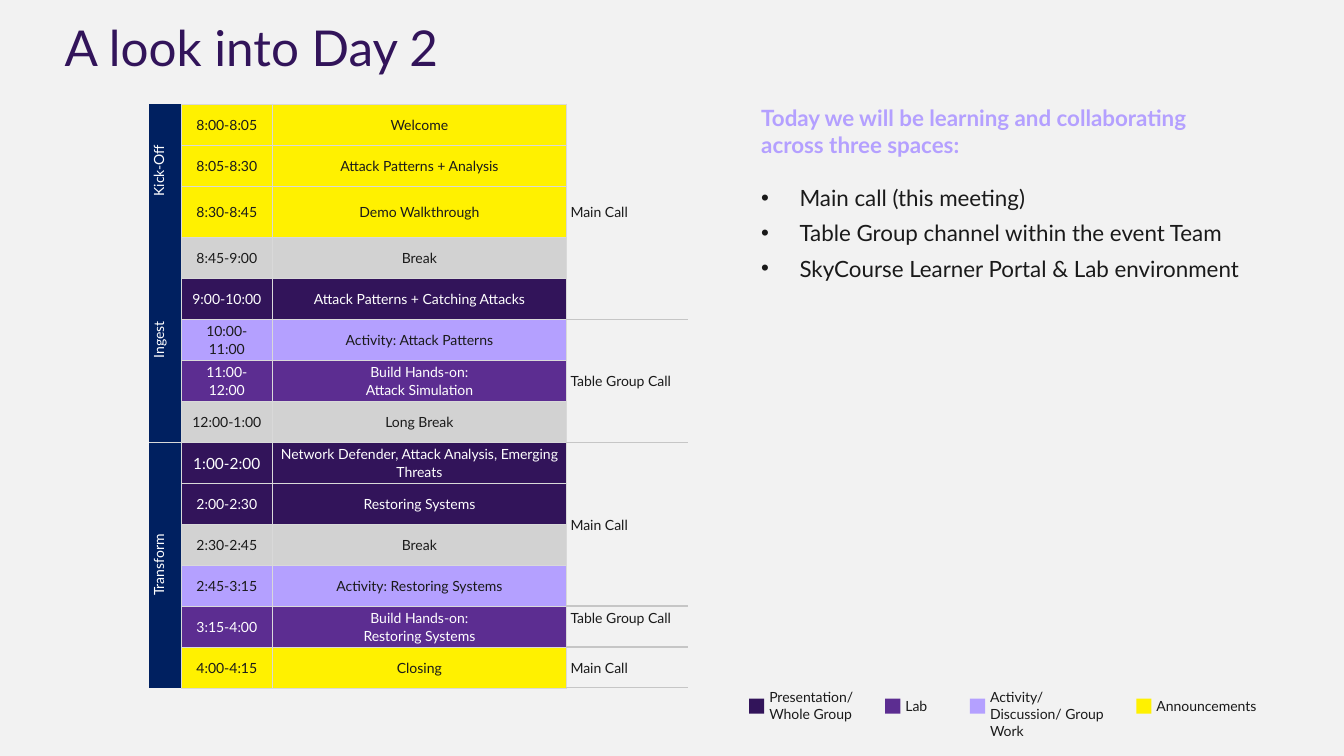
from lxml.etree import SubElement
from pptx import Presentation
from pptx.dml.color import RGBColor
from pptx.enum.shapes import MSO_SHAPE
from pptx.enum.text import MSO_ANCHOR, MSO_AUTO_SIZE, PP_ALIGN
from pptx.oxml.ns import qn
from pptx.util import Inches, Pt

BACKGROUND, INK, WHITE, NAVY = "F2F2F2", "1A1A1A", "FFFFFF", "002060"
PRESENTATION, LAB, ACTIVITY, ANNOUNCEMENT, BREAK = "32145A", "5C2D91", "B4A0FF", "FFF100", "D2D2D2"
GRID, DIVIDER = ("D9D9D9", 0.25), ("C6C6C6", 1)


def add_text(paragraph, text, size, color, bold=False):
    run = paragraph.add_run()
    run.text = text
    run.font.name = "Lato"
    run.font.size = Pt(size)
    run.font.bold = bold
    run.font.color.rgb = RGBColor.from_string(color)


def style_cell(cell, fill, borders, side_margin):
    """Borders are (colour, points) or None, in the order left, right, top, bottom."""
    properties = cell._tc.get_or_add_tcPr()
    for side, border in zip(("lnL", "lnR", "lnT", "lnB"), borders):
        line = SubElement(properties, qn(f"a:{side}"))
        if border:
            line.set("w", str(Pt(border[1])))
            solid = SubElement(line, qn("a:solidFill"))
            SubElement(solid, qn("a:srgbClr")).set("val", border[0])
        else:
            SubElement(line, qn("a:noFill"))
    cell.fill.solid()
    cell.fill.fore_color.rgb = RGBColor.from_string(fill)
    cell.vertical_anchor = MSO_ANCHOR.MIDDLE
    cell.margin_left = cell.margin_right = Inches(side_margin)
    cell.margin_top = cell.margin_bottom = 0


prs = Presentation()
prs.slide_width, prs.slide_height = Inches(13.33), Inches(7.5)
slide = prs.slides.add_slide(prs.slide_layouts[5])
slide.background.fill.solid()
slide.background.fill.fore_color.rgb = RGBColor.from_string(BACKGROUND)

# Title
title = slide.shapes.title
title.left, title.top, title.width, title.height = map(Inches, (0.44, 0.08, 4.52, 0.85))
title_frame = title.text_frame
title_frame.auto_size = MSO_AUTO_SIZE.NONE
title_frame.vertical_anchor = MSO_ANCHOR.TOP
title_frame.margin_left = title_frame.margin_right = Inches(0.2)
title_frame.margin_top = title_frame.margin_bottom = Inches(0.16)
heading = title_frame.paragraphs[0]
heading.alignment = PP_ALIGN.LEFT
heading.line_spacing = 0.9
add_text(heading, "A look into Day 2", 35.3, PRESENTATION)

# Agenda
sessions = [
    ("8:00-8:05", ["Welcome"], ANNOUNCEMENT),
    ("8:05-8:30", ["Attack Patterns + Analysis"], ANNOUNCEMENT),
    ("8:30-8:45", ["Demo Walkthrough"], ANNOUNCEMENT),
    ("8:45-9:00", ["Break"], BREAK),
    ("9:00-10:00", ["Attack Patterns + Catching Attacks"], PRESENTATION),
    ("10:00-11:00", ["Activity: Attack Patterns"], ACTIVITY),
    ("11:00-12:00", ["Build Hands-on:", "Attack Simulation"], LAB),
    ("12:00-1:00", ["Long Break"], BREAK),
    ("1:00-2:00", ["Network Defender, Attack Analysis, Emerging Threats"], PRESENTATION),
    ("2:00-2:30", ["Restoring Systems"], PRESENTATION),
    ("2:30-2:45", ["Break"], BREAK),
    ("2:45-3:15", ["Activity: Restoring Systems"], ACTIVITY),
    ("3:15-4:00", ["Build Hands-on:", "Restoring Systems"], LAB),
    ("4:00-4:15", ["Closing"], ANNOUNCEMENT),
]
phases = [("Kick-Off", 3), ("Ingest", 5), ("Transform", 6)]
calls = [("Main Call", 5), ("Table Group Call", 3), ("Main Call", 4),
         ("Table Group Call", 1), ("Main Call", 1)]

agenda = slide.shapes.add_table(len(sessions), 4, Inches(1.48), Inches(1.03),
                                Inches(5.34), Inches(5.69)).table
agenda.first_row = agenda.horz_banding = False
for column, width in zip(agenda.columns, (0.32, 0.9, 2.92, 1.2)):
    column.width = Inches(width)
for row in agenda.rows:
    row.height = Inches(5.69 / len(sessions))
agenda.rows[2].height = Inches(0.5)

for row, (time, topic, fill) in enumerate(sessions):
    color = WHITE if fill in (PRESENTATION, LAB) else INK
    for column, lines, margin in ((1, [time], 0.07), (2, topic, 0.04)):
        cell = agenda.cell(row, column)
        style_cell(cell, fill, [GRID] * 4, margin)
        for index, line in enumerate(lines):
            frame = cell.text_frame
            paragraph = frame.add_paragraph() if index else frame.paragraphs[0]
            paragraph.alignment = PP_ALIGN.CENTER
            paragraph.line_spacing = 1.07
            add_text(paragraph, line, 11 if line == "1:00-2:00" else 10, color)

for column, blocks, fill, color, margin in ((0, phases, NAVY, WHITE, 0.07),
                                            (3, calls, BACKGROUND, INK, 0.04)):
    start = 0
    for label, span in blocks:
        end = start + span
        for row in range(start, end):
            rule = GRID if column == 0 else DIVIDER
            top = rule if row == start and row > 0 else None
            bottom = rule if row == end - 1 else None
            sides = [None, GRID] if column == 0 else [GRID, None]
            style_cell(agenda.cell(row, column), fill, sides + [top, bottom], margin)
        cell = agenda.cell(start, column)
        if span > 1:
            cell.merge(agenda.cell(end - 1, column))
        paragraph = cell.text_frame.paragraphs[0]
        paragraph.line_spacing = 1.07
        if column == 0:
            paragraph.alignment = PP_ALIGN.CENTER
            cell._tc.tcPr.set("vert", "vert270")
        add_text(paragraph, label, 10, color)
        start = end
agenda.cell(12, 3).margin_bottom = Inches(0.17)

# Meeting spaces
spaces = slide.shapes.add_textbox(Inches(7.55), Inches(1.03), Inches(4.89), Inches(1.78)).text_frame
spaces.word_wrap = True
spaces.margin_left = spaces.margin_top = spaces.margin_right = spaces.margin_bottom = 0
intro = spaces.paragraphs[0]
intro.space_after = Pt(19)
add_text(intro, "Today we will be learning and collaborating across three spaces:", 16, ACTIVITY, True)
for space in ("Main call (this meeting)", "Table Group channel within the event Team",
              "SkyCourse Learner Portal & Lab environment"):
    bullet = spaces.add_paragraph()
    bullet.space_after = Pt(6)
    properties = bullet._p.get_or_add_pPr()
    properties.set("marL", str(Inches(0.38)))
    properties.set("indent", str(-Inches(0.38)))
    SubElement(properties, qn("a:buFont")).set("typeface", "Arial")
    SubElement(properties, qn("a:buChar")).set("char", "•")
    add_text(bullet, space, 16, INK)

# Legend
legend = slide.shapes.add_group_shape()
for left, top, width, height, fill, lines in (
    (7.43, 6.83, 0.97, 0.34, PRESENTATION, ["Presentation/", "Whole Group"]),
    (8.78, 6.92, 0.46, 0.17, LAB, ["Lab"]),
    (9.62, 6.83, 1.2, 0.34, ACTIVITY, ["Activity/ Discussion/ Group Work"]),
    (11.27, 6.92, 1.16, 0.17, ANNOUNCEMENT, ["Announcements"]),
):
    swatch = legend.shapes.add_shape(MSO_SHAPE.RECTANGLE, Inches(left), Inches(6.93),
                                     Inches(0.15), Inches(0.15))
    swatch.shadow.inherit = False
    swatch.fill.solid()
    swatch.fill.fore_color.rgb = RGBColor.from_string(fill)
    swatch.line.fill.background()
    frame = legend.shapes.add_textbox(Inches(left + 0.2), Inches(top),
                                      Inches(width), Inches(height)).text_frame
    frame.word_wrap = True
    frame.margin_left = frame.margin_top = frame.margin_right = frame.margin_bottom = 0
    for index, line in enumerate(lines):
        paragraph = frame.add_paragraph() if index else frame.paragraphs[0]
        add_text(paragraph, line, 10, INK)

prs.save("out.pptx")
